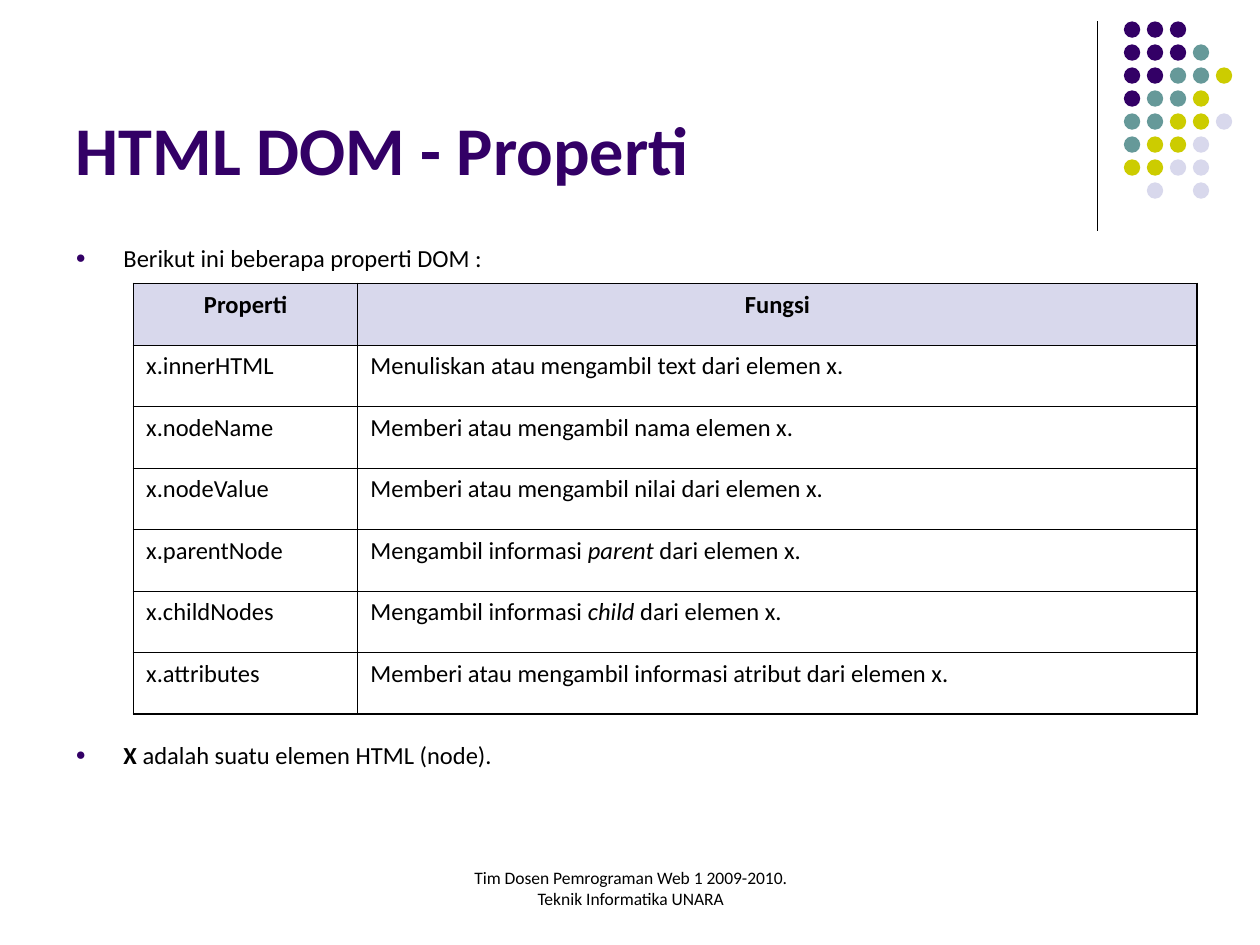
import pptx
import pptx.dml.color
import pptx.enum.shapes
import pptx.enum.text
import pptx.oxml
import pptx.oxml.ns
import pptx.util

Inches = pptx.util.Inches
Pt = pptx.util.Pt
Align = pptx.enum.text.PP_ALIGN
Anchor = pptx.enum.text.MSO_ANCHOR

COLORS = {
    "purple": "330066",
    "teal": "669999",
    "lime": "CCCC00",
    "lavender": "D8D8EC",
    "black": "000000",
}
NAMESPACE = pptx.oxml.ns.nsdecls("a")

# Each letter is one dot; a space leaves a gap
DOT_COLORS = {"P": "purple", "T": "teal", "Y": "lime", "L": "lavender"}
DOT_ROWS = ["PPP", "PPPT", "PPTTY", "PTTY", "TTYYL", "TYYL", "YYLL", " L L"]
DOT_SIZE = 0.13
DOT_PITCH = 0.73 / 4

# A run is (text, style), where style is "", "b" or "i"
PROPERTIES = [
    ("x.innerHTML", [("Menuliskan atau mengambil text dari elemen x.", "")]),
    ("x.nodeName", [("Memberi atau mengambil nama elemen x.", "")]),
    ("x.nodeValue", [("Memberi atau mengambil nilai dari elemen x.", "")]),
    ("x.parentNode", [("Mengambil informasi ", ""), ("parent", "i"),
                      (" dari elemen x.", "")]),
    ("x.childNodes", [("Mengambil informasi ", ""), ("child", "i"),
                      (" dari elemen x.", "")]),
    ("x.attributes", [("Memberi atau mengambil informasi atribut dari elemen x.", "")]),
]


def rgb(name):
    return pptx.dml.color.RGBColor.from_string(COLORS[name])


class SlideBuilder:
    font = "Calibri"
    text_size = 14
    space_before = 3.5

    def __init__(self, slide):
        self.slide = slide

    def add_runs(self, paragraph, runs, size=text_size, color="black", align=Align.LEFT):
        paragraph.alignment = align
        for text, style in runs:
            run = paragraph.add_run()
            run.text = text
            run.font.name = self.font
            run.font.size = Pt(size)
            run.font.bold = style == "b"
            run.font.italic = style == "i"
            run.font.color.rgb = rgb(color)

    def place(self, shape, left, top, width, height):
        shape.left, shape.top = Inches(left), Inches(top)
        shape.width, shape.height = Inches(width), Inches(height)
        frame = shape.text_frame
        frame.word_wrap = True
        frame.auto_size = pptx.enum.text.MSO_AUTO_SIZE.NONE
        return frame

    def title(self, text, box):
        frame = self.place(self.slide.shapes.title, *box)
        frame.vertical_anchor = Anchor.BOTTOM
        self.add_runs(frame.paragraphs[0], [(text, "b")], 39, "purple")

    def bullets(self, items, box):
        frame = self.place(self.slide.placeholders[1], *box)
        frame.vertical_anchor = Anchor.TOP
        for index, (runs, space) in enumerate(items):
            paragraph = frame.add_paragraph() if index else frame.paragraphs[0]
            paragraph.space_before = Pt(space)
            self.add_runs(paragraph, runs)
            properties = paragraph._p.get_or_add_pPr()
            properties.set("marL", str(Inches(0.38)))
            properties.set("indent", str(-Inches(0.38)))
            for xml in (
                f'<a:buClr {NAMESPACE}><a:srgbClr val="{COLORS["purple"]}"/></a:buClr>',
                f'<a:buSzPct {NAMESPACE} val="70000"/>',
                f'<a:buChar {NAMESPACE} char="●"/>',
            ):
                properties.append(pptx.oxml.parse_xml(xml))

    def footer(self, lines, box):
        frame = self.place(self.slide.shapes.add_textbox(0, 0, 0, 0), *box)
        paragraph = frame.paragraphs[0]
        for index, line in enumerate(lines):
            if index:
                paragraph.add_line_break()
            self.add_runs(paragraph, [(line, "")], 10, align=Align.CENTER)

    def line(self, start, end):
        connector = self.slide.shapes.add_connector(
            pptx.enum.shapes.MSO_CONNECTOR.STRAIGHT,
            *map(Inches, start), *map(Inches, end))
        connector.line.color.rgb = rgb("black")
        connector.line.width = Pt(0.75)
        connector._element.spPr.append(
            pptx.oxml.parse_xml(f"<a:effectLst {NAMESPACE}/>"))

    def dots(self, left, top):
        group = self.slide.shapes.add_group_shape()
        for row, letters in enumerate(DOT_ROWS):
            for column, letter in enumerate(letters):
                if letter == " ":
                    continue
                dot = group.shapes.add_shape(
                    pptx.enum.shapes.MSO_SHAPE.OVAL,
                    Inches(left + column * DOT_PITCH), Inches(top + row * DOT_PITCH),
                    Inches(DOT_SIZE), Inches(DOT_SIZE))
                dot.shadow.inherit = False
                dot.fill.solid()
                dot.fill.fore_color.rgb = rgb(DOT_COLORS[letter])
                dot.line.fill.background()

    def borders(self, cell, outer_sides):
        properties = cell._tc.get_or_add_tcPr()
        for index, side in enumerate("LRTB"):
            width = Pt(1.08 if side in outer_sides else 0.45)
            properties.insert(index, pptx.oxml.parse_xml(
                f'<a:ln{side} {NAMESPACE} w="{width}"><a:solidFill>'
                f'<a:srgbClr val="{COLORS["black"]}"/></a:solidFill></a:ln{side}>'))

    def table(self, header, rows, left, top, column_widths, height):
        content = [[[(text, "b")] for text in header]]
        content += [[[(name, "")], runs] for name, runs in rows]
        last_row, last_column = len(content) - 1, len(header) - 1
        table = self.slide.shapes.add_table(
            len(content), len(header), Inches(left), Inches(top),
            Inches(sum(column_widths)), Inches(height)).table
        for column, width in zip(table.columns, column_widths):
            column.width = Inches(width)
        for row_index, row in enumerate(content):
            for column_index, runs in enumerate(row):
                cell = table.cell(row_index, column_index)
                is_header = row_index == 0
                sides = {"L": column_index == 0, "R": column_index == last_column,
                         "T": is_header, "B": row_index == last_row}
                self.borders(cell, [side for side, outer in sides.items() if outer])
                if is_header:
                    cell.fill.solid()
                    cell.fill.fore_color.rgb = rgb("lavender")
                else:
                    cell.fill.background()
                paragraph = cell.text_frame.paragraphs[0]
                paragraph.space_before = Pt(self.space_before)
                self.add_runs(paragraph, runs,
                              align=Align.CENTER if is_header else Align.LEFT)


def main():
    presentation = pptx.Presentation()
    presentation.slide_width, presentation.slide_height = Inches(10), Inches(7.5)
    slide = presentation.slides.add_slide(presentation.slide_layouts[1])
    builder = SlideBuilder(slide)

    # Corner decoration
    builder.line((8.71, 0.17), (8.71, 1.83))
    builder.dots(8.92, 0.17)

    # Title and list; the second item stands below the table
    builder.title("HTML DOM - Properti", (0.5, 0.13, 8.25, 1.42))
    builder.bullets([
        ([("Berikut ini beberapa properti DOM :", "")], builder.space_before),
        ([("X", "b"), (" adalah suatu elemen HTML (node).", "")], 267),
    ], (0.5, 1.88, 8.99, 4.82))

    # Property table
    builder.table(("Properti", "Fungsi"), PROPERTIES, 1.06, 2.25, (1.78, 6.66), 3.42)

    # Footer
    builder.footer(("Tim Dosen Pemrograman Web 1 2009-2010.",
                    "Teknik Informatika UNARA"), (3.42, 6.83, 3.17, 0.5))

    presentation.save("out.pptx")


if __name__ == "__main__":
    main()
